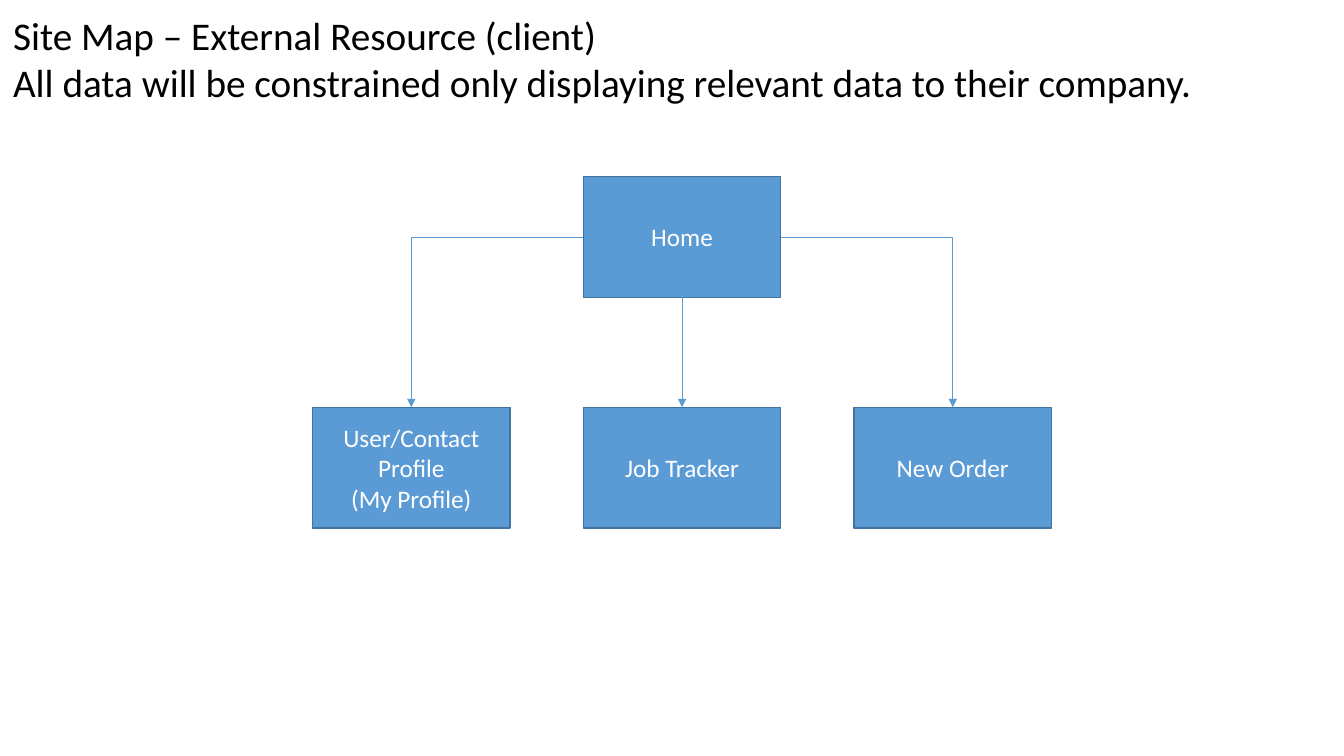
from dataclasses import dataclass

from lxml import etree
from pptx import Presentation
from pptx.dml.color import RGBColor
from pptx.enum.shapes import MSO_CONNECTOR, MSO_SHAPE
from pptx.enum.text import MSO_ANCHOR, MSO_AUTO_SIZE, PP_ALIGN
from pptx.oxml.ns import qn
from pptx.shapes.autoshape import Shape
from pptx.slide import Slide
from pptx.util import Inches, Pt

RECTANGLE = MSO_SHAPE.RECTANGLE
STRAIGHT, ELBOW = MSO_CONNECTOR.STRAIGHT, MSO_CONNECTOR.ELBOW
LEFT, CENTER = PP_ALIGN.LEFT, PP_ALIGN.CENTER
TOP, MIDDLE = MSO_ANCHOR.TOP, MSO_ANCHOR.MIDDLE
GROW = MSO_AUTO_SIZE.SHAPE_TO_FIT_TEXT
TOP_SITE, LEFT_SITE, BOTTOM_SITE, RIGHT_SITE = range(4)
TITLE_ONLY = 5


@dataclass(frozen=True)
class Theme:
    font: str = "Calibri"
    title_size: Pt = Pt(28)
    page_size: Pt = Pt(18)
    text: RGBColor = RGBColor(0, 0, 0)
    page_text: RGBColor = RGBColor(255, 255, 255)
    page_fill: RGBColor = RGBColor(0x5B, 0x9B, 0xD5)
    page_border: RGBColor = RGBColor(0x43, 0x73, 0x9E)
    border_width: Pt = Pt(1)
    link_width: Pt = Pt(0.5)


@dataclass(frozen=True)
class Page:
    label: str
    column: int
    row: int
    home_site: int = BOTTOM_SITE


THEME = Theme()
TITLE = (
    "Site Map – External Resource (client)\n"
    "All data will be constrained only displaying relevant data to their company."
)
HOME = Page("Home", 1, 0)
SUBPAGES = (
    Page("User/Contact Profile\n(My Profile)", 0, 1, LEFT_SITE),
    Page("Job Tracker", 1, 1, BOTTOM_SITE),
    Page("New Order", 2, 1, RIGHT_SITE),
)
GRID_LEFT, GRID_TOP = 3.1, 1.75
COLUMN_STEP, ROW_STEP = 2.685, 2.29
PAGE_WIDTH, PAGE_HEIGHT = 1.96, 1.2


def write_text(shape: Shape, text: str, size: Pt, color: RGBColor,
               alignment: PP_ALIGN, anchor: MSO_ANCHOR) -> None:
    frame = shape.text_frame
    frame.text = text
    frame.vertical_anchor = anchor
    for paragraph in frame.paragraphs:
        paragraph.alignment = alignment
        paragraph.font.name = THEME.font
        paragraph.font.size = size
        paragraph.font.color.rgb = color


def add_title(slide: Slide) -> None:
    title = slide.shapes.title
    title.left, title.top = Inches(0.03), Inches(0.06)
    title.width, title.height = Inches(11.94), Inches(1.04)
    write_text(title, TITLE, THEME.title_size, THEME.text, LEFT, TOP)
    title.text_frame.word_wrap = False
    title.text_frame.auto_size = GROW


def add_page(slide: Slide, page: Page) -> Shape:
    box = slide.shapes.add_shape(
        RECTANGLE,
        Inches(GRID_LEFT + page.column * COLUMN_STEP),
        Inches(GRID_TOP + page.row * ROW_STEP),
        Inches(PAGE_WIDTH),
        Inches(PAGE_HEIGHT),
    )
    box.shadow.inherit = False
    box.fill.solid()
    box.fill.fore_color.rgb = THEME.page_fill
    box.line.color.rgb = THEME.page_border
    box.line.width = THEME.border_width
    write_text(box, page.label, THEME.page_size, THEME.page_text, CENTER, MIDDLE)
    return box


def add_link(slide: Slide, home: Shape, subpage: Shape, home_site: int) -> None:
    kind = STRAIGHT if home_site == BOTTOM_SITE else ELBOW
    link = slide.shapes.add_connector(kind, 0, 0, 0, 0)
    link.begin_connect(home, home_site)
    link.end_connect(subpage, TOP_SITE)
    link.line.color.rgb = THEME.page_fill
    link.line.width = THEME.link_width
    properties = link._element.spPr
    if kind == ELBOW:
        properties.find(qn("a:prstGeom")).set("prst", "bentConnector2")
    etree.SubElement(properties.find(qn("a:ln")), qn("a:tailEnd"), type="triangle")
    etree.SubElement(properties, qn("a:effectLst"))


def main() -> None:
    presentation = Presentation()
    presentation.slide_width = Inches(13.33)
    presentation.slide_height = Inches(7.5)
    slide = presentation.slides.add_slide(presentation.slide_layouts[TITLE_ONLY])
    add_title(slide)
    home = add_page(slide, HOME)
    for page in SUBPAGES:
        add_link(slide, home, add_page(slide, page), page.home_site)
    presentation.save("out.pptx")


if __name__ == "__main__":
    main()
